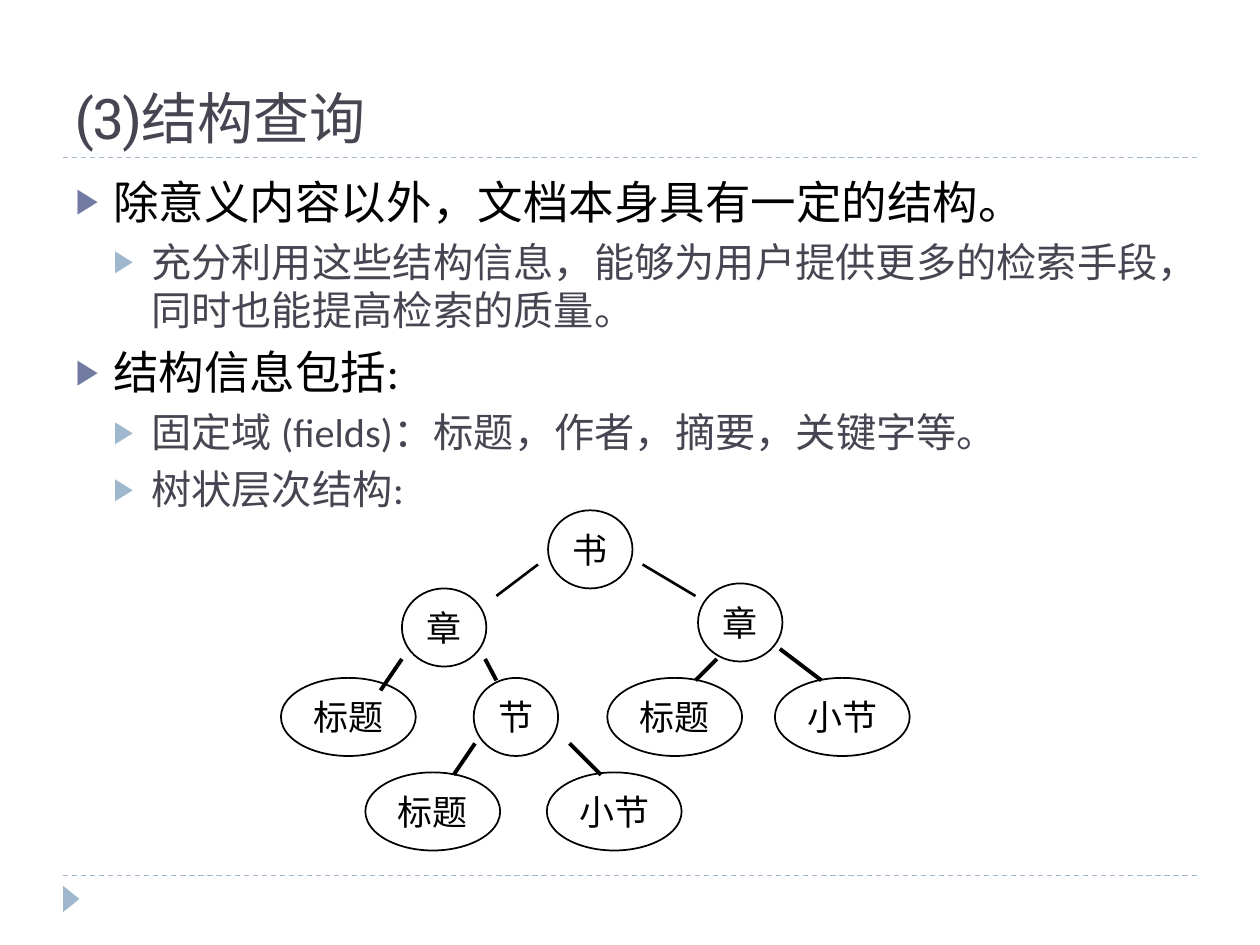
import pptx
import pptx.util
import pptx.dml.color
import pptx.enum.dml
import pptx.enum.shapes
import pptx.enum.text
import pptx.oxml
import pptx.oxml.ns
from pptx.util import Inches

SHAPE = pptx.enum.shapes.MSO_SHAPE
ANCHOR = pptx.enum.text.MSO_ANCHOR
ALIGN = pptx.enum.text.PP_ALIGN
FIT = pptx.enum.text.MSO_AUTO_SIZE

# Per list level: size, text colour, bullet colour, space before
LEVELS = [(26, "000000", "727CA3", 6), (23, "464653", "9FB8CD", 5)]
ITEMS = [
    (0, "除意义内容以外，文档本身具有一定的结构。"),
    (1, "充分利用这些结构信息，能够为用户提供更多的检索手段，同时也能提高检索的质量。"),
    (0, "结构信息包括:"),
    (1, "固定域 (fields)：标题，作者，摘要，关键字等。"),
    (1, "树状层次结构:"),
]

# Tree nodes by row: top, then left and label of each
ROWS = [
    (0, [(2.12, "书")]),
    (0.62, [(0.96, "章")]),
    (0.58, [(3.31, "章")]),
    (1.33, [(0, "标题"), (1.53, "节"), (2.59, "标题"), (3.92, "小节")]),
    (2.08, [(0.67, "标题"), (2.11, "小节")]),
]
# Tree branches: x1, y1, x2, y2, width
EDGES = [
    (2.04, 0.43, 1.71, 0.68, 1.5),
    (2.87, 0.43, 3.29, 0.68, 1.5),
    (0.79, 1.43, 0.96, 1.18, 2.25),
    (1.62, 1.18, 1.71, 1.35, 2.25),
    (1.54, 1.85, 1.37, 2.1, 2.25),
    (2.29, 1.85, 2.54, 2.1, 2.25),
    (3.46, 1.18, 3.29, 1.35, 2.25),
    (3.96, 1.1, 4.29, 1.35, 2.25),
]


def rgb(code):
    return pptx.dml.color.RGBColor.from_string(code)


def style(font, size, color, name="Calibri"):
    font.size = pptx.util.Pt(size)
    font.color.rgb = rgb(color)
    font.name = name


def place(shape, left, top, width, height):
    shape.left, shape.top = Inches(left), Inches(top)
    shape.width, shape.height = Inches(width), Inches(height)


def line(slide, x1, y1, x2, y2, color, width):
    rule = slide.shapes.add_connector(
        pptx.enum.shapes.MSO_CONNECTOR.STRAIGHT,
        Inches(x1), Inches(y1), Inches(x2), Inches(y2))
    rule.line.color.rgb = rgb(color)
    rule.line.width = pptx.util.Pt(width)
    props = rule._element.spPr
    props.append(props.makeelement(pptx.oxml.ns.qn("a:effectLst"), {}))
    return rule


def bullet(para, level, color):
    """Give the paragraph a hanging triangle bullet."""
    step = Inches(0.3)
    props = para._p.get_or_add_pPr()
    props.set("marL", str(step * (level + 1)))
    props.set("indent", str(-step))
    space = pptx.oxml.ns.nsdecls("a")
    for part in (f'<a:buClr {space}><a:srgbClr val="{color}"/></a:buClr>',
                 f'<a:buSzPct {space} val="76000"/>',
                 f'<a:buFont {space} typeface="Calibri"/>',
                 f'<a:buChar {space} char="▶"/>'):
        props.append(pptx.oxml.parse_xml(part))


def frame(slide, left, top, width, height):
    """Draw the dashed rules and the corner mark."""
    for y in (top, top + height):
        rule = line(slide, left, y, left + width, y, "9FB8CD", 0.75)
        rule.line.dash_style = pptx.enum.dml.MSO_LINE.DASH
    mark = slide.shapes.add_shape(
        SHAPE.ISOSCELES_TRIANGLE, Inches(left - 0.04),
        Inches(top + height + 0.12), Inches(0.21), Inches(0.13))
    mark.rotation = 90
    mark.shadow.inherit = False
    mark.fill.solid()
    mark.fill.fore_color.rgb = rgb("9FB8CD")
    mark.line.fill.background()


def title(slide, text, *box):
    shape = slide.shapes.title
    place(shape, *box)
    body = shape.text_frame
    body.text = text
    body.auto_size = FIT.NONE
    body.vertical_anchor = ANCHOR.BOTTOM
    para = body.paragraphs[0]
    para.alignment = ALIGN.LEFT
    style(para.font, 32, "464653", "Roboto Slab")


def outline(slide, items, *box):
    shape = slide.placeholders[1]
    place(shape, *box)
    body = shape.text_frame
    body.text = "\n".join(text for _, text in items)
    body.auto_size = FIT.NONE
    for i, (para, (level, _)) in enumerate(zip(body.paragraphs, items)):
        size, color, mark, gap = LEVELS[level]
        para.level = level
        para.space_before = pptx.util.Pt(gap if i else 0)
        bullet(para, level, mark)
        style(para.font, size, color)


def node(slide, text, left, top):
    width = 0.67 if len(text) == 1 else 1.07
    oval = slide.shapes.add_shape(
        SHAPE.OVAL, Inches(left), Inches(top), Inches(width), Inches(0.62))
    oval.shadow.inherit = False
    oval.fill.solid()
    oval.fill.fore_color.rgb = rgb("FFFFFF")
    oval.line.color.rgb = rgb("000000")
    oval.line.width = pptx.util.Pt(1)
    body = oval.text_frame
    body.text = text
    body.word_wrap = False
    body.vertical_anchor = ANCHOR.MIDDLE
    para = body.paragraphs[0]
    para.alignment = ALIGN.CENTER
    style(para.font, 20, "000000")


def tree(slide, left, top):
    for y, nodes in ROWS:
        for x, text in nodes:
            node(slide, text, left + x, top + y)
    for x1, y1, x2, y2, width in EDGES:
        line(slide, left + x1, top + y1, left + x2, top + y2, "000000", width)


def main():
    deck = pptx.Presentation()
    deck.slide_width, deck.slide_height = Inches(10), Inches(7.5)
    slide = deck.slides.add_slide(deck.slide_layouts[1])
    frame(slide, 0.5, 1.25, 9, 5.7)
    title(slide, "(3)结构查询", 0.5, 0.17, 9, 1.08)
    outline(slide, ITEMS, 0.5, 1.33, 9, 5.4)
    tree(slide, 2.23, 4.05)
    deck.save("out.pptx")


if __name__ == "__main__":
    main()
